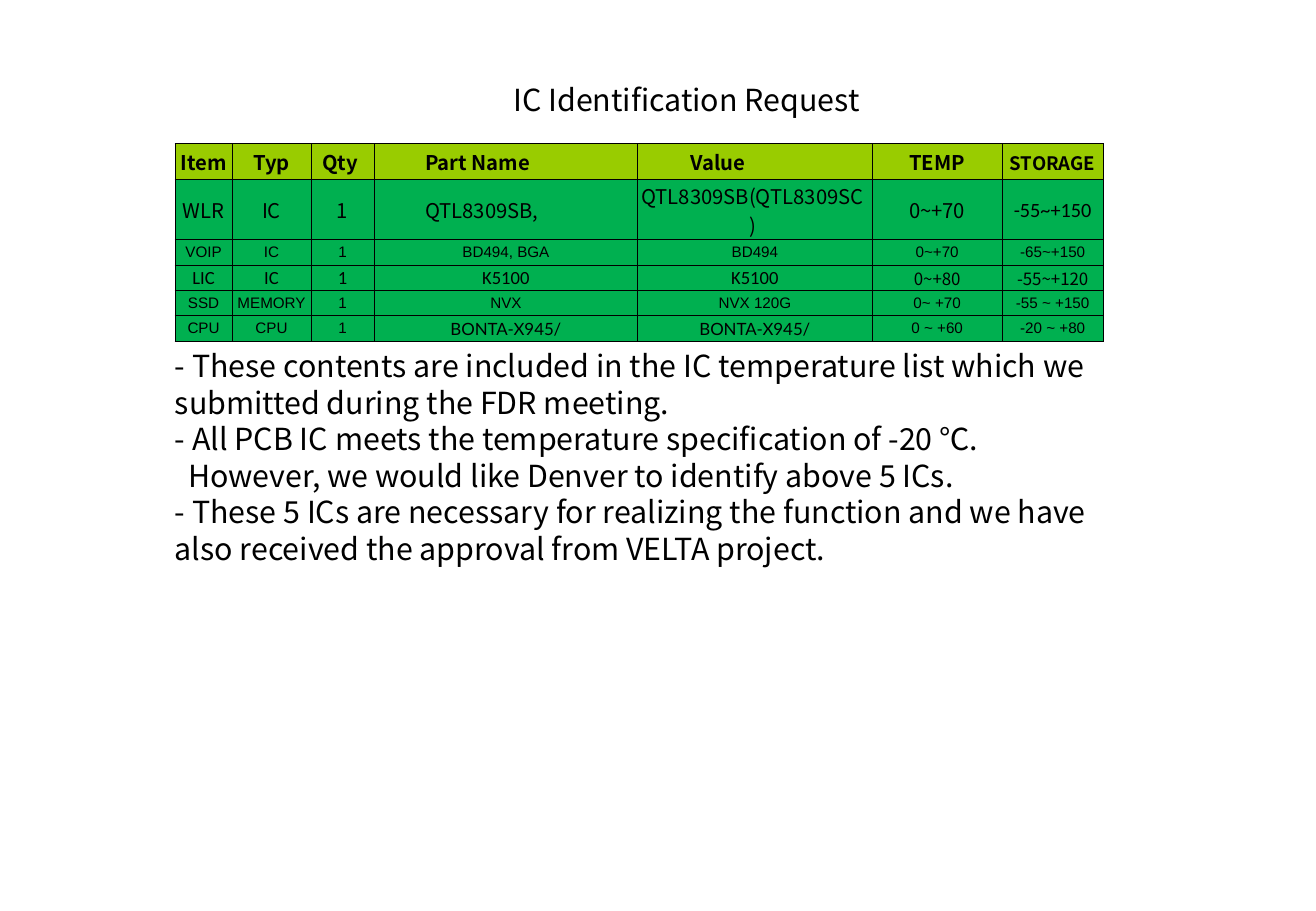
from dataclasses import dataclass

from lxml import etree
from pptx import Presentation
from pptx.dml.color import RGBColor
from pptx.enum.text import MSO_ANCHOR, PP_ALIGN
from pptx.oxml.ns import qn
from pptx.util import Cm, Pt


@dataclass(frozen=True)
class Theme:
    ink: str = "000000"
    head: str = "99CC00"
    body: str = "00B050"
    noto: str = "Noto Sans CJK KR"
    big: int = 18
    rule: float = 0.5


THEME = Theme()
HEAD = dict(size=12, bold=True)
NOTO = dict(size=12)
NOTE = dict(size=10)
ARIAL = dict(size=9, font="Arial")
CALIBRI = dict(size=11, font="Calibri")
LATO = dict(size=10, font="Lato")

COLS = (1.19, 1.65, 1.32, 5.51, 4.9, 2.72, 2.11)
# Each row: height in cm, style, cell texts
ROWS = (
    (0.76, HEAD, ("Item", "Typ", "Qty", "Part Name", "Value", "TEMP", "STORAGE")),
    (0.64, NOTO, ("WLR", "IC", "1", "QTL8309SB,", "QTL8309SB(QTL8309SC)",
                  "0~+70", "-55~+150")),
    (0.53, ARIAL, ("VOIP", "IC", "1", "BD494, BGA", "BD494", "0~+70", "-65~+150")),
    (0.53, CALIBRI, ("LIC", "IC", "1", "K5100", "K5100", "0~+80", "-55~+120")),
    (0.53, ARIAL, ("SSD", "MEMORY", "1", "NVX", "NVX 120G", "0~ +70", "-55 ~ +150")),
    (0.53, ARIAL, ("CPU", "CPU", "1", "BONTA-X945/", "BONTA-X945/",
                   "0 ~ +60", "-20 ~ +80")),
)
# Cells that differ from their row, by (row, column)
STYLES = {
    (0, 6): dict(size=11, bold=True),
    (1, 6): dict(size=12, font="Calibri"),
    (3, 5): NOTE, (3, 6): NOTE,
    (5, 3): LATO, (5, 4): LATO,
}
# Right margins in cm that move a centred text to the left
PADS = {(0, 2): 0.12, (0, 3): 1.2, (0, 4): 1.55, (1, 3): 1.02, (1, 4): 0.12}

# Each note: text, left indent in cm
NOTES = (
    ("- These contents are included in the IC temperature list which we "
     "submitted during the FDR meeting.", 0),
    ("- All PCB IC meets the temperature specification of -20 ℃.", 0),
    ("However, we would like Denver to identify above 5 ICs.", 0.28),
    ("- These 5 ICs are necessary for realizing the function and we have "
     "also received the approval from VELTA project.", 0),
)


def write(para, text, size=THEME.big, font=THEME.noto, bold=False,
          align=PP_ALIGN.LEFT, indent=0):
    props = para._p.get_or_add_pPr()
    props.set("marL", str(Cm(indent)))
    props.set("indent", "0")
    etree.SubElement(props, qn("a:buNone"))
    para.alignment = align
    para.space_before = para.space_after = Pt(0)
    run = para.add_run()
    run.text = text
    run.font.size = Pt(size)
    run.font.name = font
    run.font.bold = bold
    run.font.color.rgb = RGBColor.from_string(THEME.ink)


def border(cell):
    props = cell._tc.get_or_add_tcPr()
    for side in ("lnL", "lnR", "lnT", "lnB"):
        line = etree.SubElement(props, qn("a:" + side), w=str(Pt(THEME.rule)))
        fill = etree.SubElement(line, qn("a:solidFill"))
        etree.SubElement(fill, qn("a:srgbClr"), val=THEME.ink)


class Deck:
    def __init__(self, wide, high):
        self.prs = Presentation()
        self.prs.slide_width, self.prs.slide_height = Cm(wide), Cm(high)
        self.slide = self.prs.slides.add_slide(self.prs.slide_layouts[1])

    def place(self, index, box):
        """Move a placeholder and return its text frame."""
        shape = self.slide.placeholders[index]
        shape.left, shape.top, shape.width, shape.height = map(Cm, box)
        frame = shape.text_frame
        frame.word_wrap = True
        frame.vertical_anchor = MSO_ANCHOR.TOP
        return frame

    def title(self, text, box):
        frame = self.place(0, box)
        write(frame.paragraphs[0], text, align=PP_ALIGN.CENTER)

    def notes(self, items, box):
        frame = self.place(1, box)
        for i, (text, indent) in enumerate(items):
            para = frame.add_paragraph() if i else frame.paragraphs[0]
            write(para, text, indent=indent)

    def table(self, left, top):
        wide, high = sum(COLS), sum(row[0] for row in ROWS)
        table = self.slide.shapes.add_table(
            len(ROWS), len(COLS), Cm(left), Cm(top), Cm(wide), Cm(high)).table
        for col, width in zip(table.columns, COLS):
            col.width = Cm(width)
        for r, (height, style, texts) in enumerate(ROWS):
            table.rows[r].height = Cm(height)
            for c, text in enumerate(texts):
                self.cell(table.cell(r, c), text, THEME.body if r else THEME.head,
                          PADS.get((r, c), 0.02), STYLES.get((r, c), style))

    def cell(self, cell, text, fill, pad, style):
        border(cell)
        cell.fill.solid()
        cell.fill.fore_color.rgb = RGBColor.from_string(fill)
        cell.vertical_anchor = MSO_ANCHOR.MIDDLE
        cell.margin_left = cell.margin_top = Cm(0.02)
        cell.margin_right, cell.margin_bottom = Cm(pad), Cm(0)
        write(cell.text_frame.paragraphs[0], text, align=PP_ALIGN.CENTER, **style)


def main():
    deck = Deck(27.51, 19.05)
    deck.title("IC Identification Request", (9.75, 1.57, 9.2, 1.8))
    deck.table(3.66, 3)
    deck.notes(NOTES, (3.4, 7.14, 20.35, 4.88))
    deck.prs.save("out.pptx")


if __name__ == "__main__":
    main()
